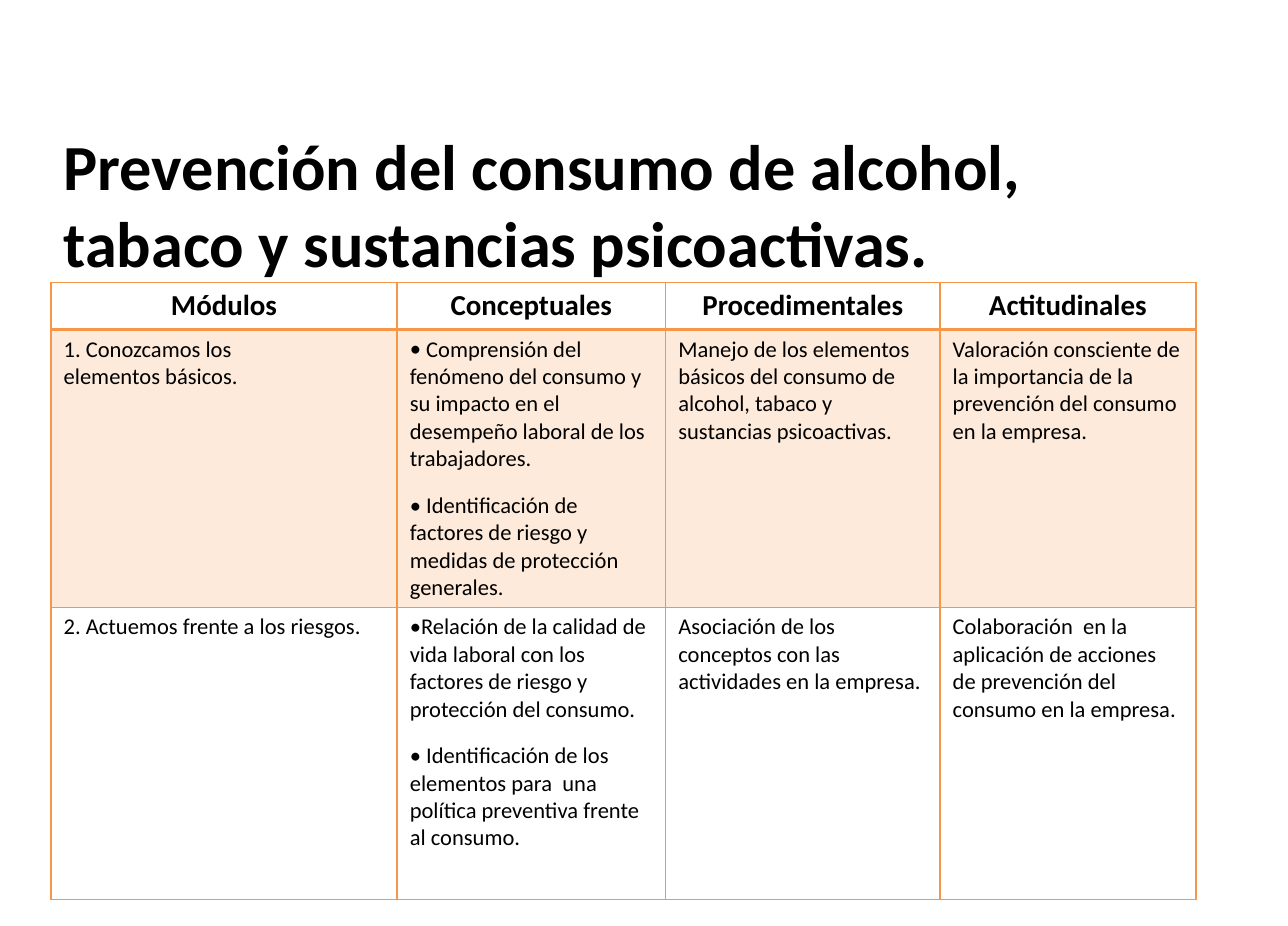
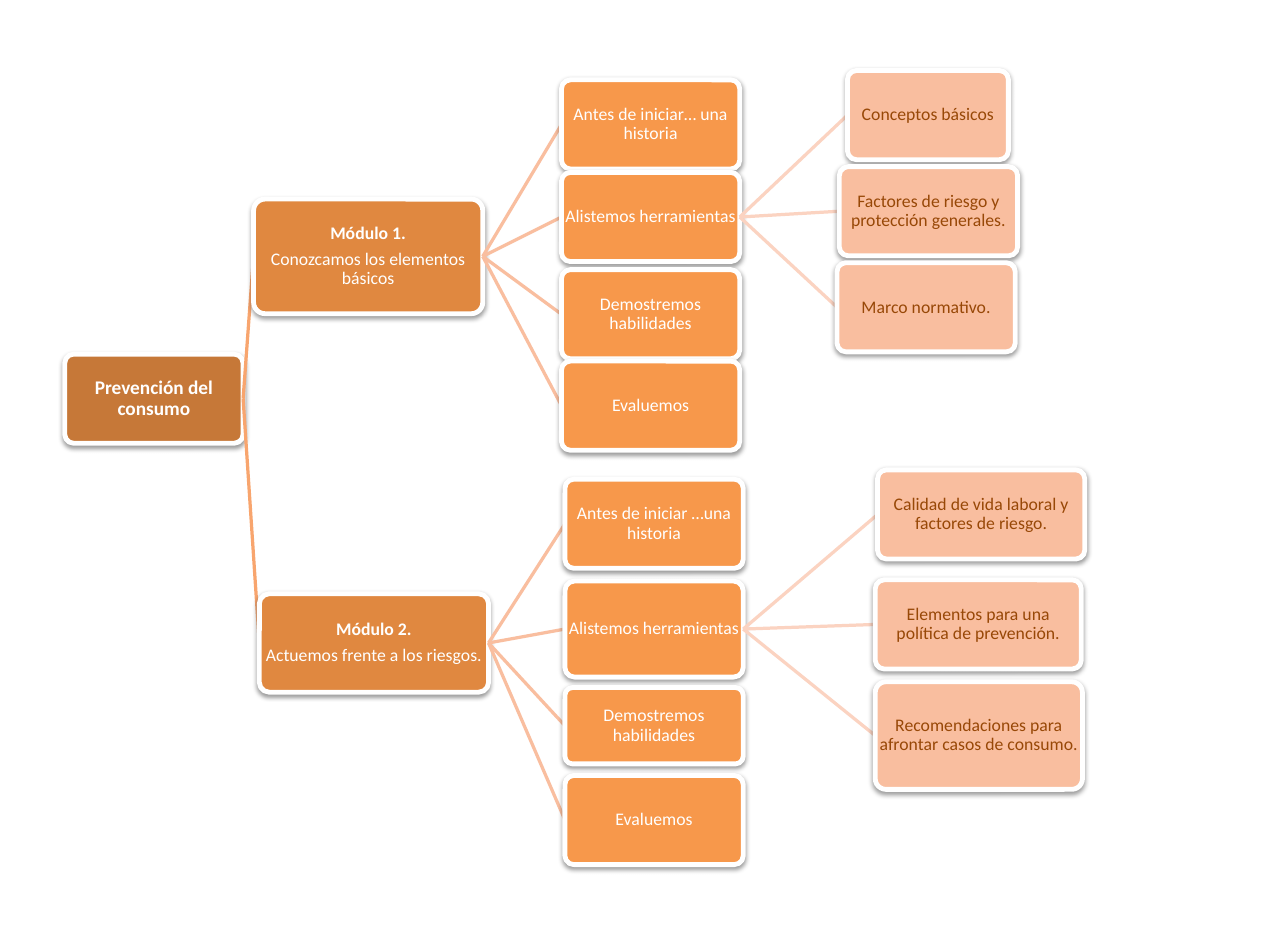
"""Two slides on preventing substance use: a contents table and a module tree."""
from lxml import etree
from pptx import Presentation
from pptx.dml.color import RGBColor
from pptx.enum.shapes import MSO_CONNECTOR, MSO_SHAPE
from pptx.enum.text import MSO_ANCHOR, PP_ALIGN
from pptx.oxml.ns import qn
from pptx.util import Inches, Pt

STRAIGHT, ROUND = MSO_CONNECTOR.STRAIGHT, MSO_SHAPE.ROUNDED_RECTANGLE
MIDDLE, CENTER, LEFT = MSO_ANCHOR.MIDDLE, PP_ALIGN.CENTER, PP_ALIGN.LEFT

WIDTH, HEIGHT = 89 / 8, 8
FONT = "Calibri"
BLACK, WHITE, BROWN, ORANGE, PEACH = "000000", "FFFFFF", "984807", "F79646", "FDEADA"

TITLE = "Prevención del consumo de alcohol, tabaco y sustancias psicoactivas."
COLS = [2.99, 2.32, 2.37, 2.21]
ROWS = [0.41, 2.4, 2.52]
HEADS = ["Módulos", "Conceptuales", "Procedimentales", "Actitudinales"]
BODY = [
    [["1. Conozcamos los", "elementos básicos."],
     [" Comprensión del fenómeno del consumo y su impacto en el desempeño laboral "
      "de los trabajadores.",
      " Identificación de factores de riesgo y medidas de protección generales."],
     ["Manejo de los elementos básicos del consumo de alcohol, tabaco y sustancias "
      "psicoactivas."],
     ["Valoración consciente de la importancia de la prevención del consumo en la "
      "empresa."]],
    [["2. Actuemos frente a los riesgos."],
     ["Relación de la calidad de vida laboral con los factores de riesgo y "
      "protección del consumo.",
      " Identificación de los elementos para  una política preventiva frente al "
      "consumo."],
     ["Asociación de los conceptos con las actividades en la empresa."],
     ["Colaboración  en la aplicación de acciones de prevención del consumo en la "
      "empresa. "]],
]
BULLET_COL = 1

LEVELS = [("C67838", WHITE, 12, None), ("E08840", WHITE, 11, "F8A56E"),
          ("F7984B", WHITE, 11, "F9BE9F"), ("F9BE9F", BROWN, 11, "FBD3C1")]
TREE = (["Prevención del consumo"], (0.56, 3.06, 1.54, 0.77), [
    (["Módulo 1.", "Conozcamos los elementos básicos"], (2.19, 1.72, 1.98, 0.99), [
        (["Antes de iniciar… una historia"], (4.85, 0.69, 1.54, 0.77), []),
        (["Alistemos herramientas"], (4.85, 1.49, 1.54, 0.77), [
            (["Conceptos básicos"], (7.32, 0.61, 1.39, 0.77), []),
            (["Factores de riesgo y protección generales."],
             (7.25, 1.44, 1.54, 0.77), []),
            (["Marco normativo."], (7.23, 2.27, 1.54, 0.77), [])]),
        (["Demostremos habilidades"], (4.85, 2.33, 1.54, 0.77), []),
        (["Evaluemos"], (4.85, 3.12, 1.54, 0.77), [])]),
    (["Módulo 2.", "Actuemos frente a los riesgos."], (2.24, 5.13, 1.98, 0.85), [
        (["Antes de iniciar …una historia"], (4.88, 4.14, 1.54, 0.77), []),
        (["Alistemos herramientas"], (4.88, 5.02, 1.54, 0.83), [
            (["Calidad de vida laboral y factores de riesgo."],
             (7.58, 4.06, 1.79, 0.77), []),
            (["Elementos para una política de prevención."],
             (7.56, 5.01, 1.78, 0.77), []),
            (["Recomendaciones para afrontar casos de consumo. "],
             (7.56, 5.89, 1.79, 0.93), [])]),
        (["Demostremos habilidades"], (4.88, 5.94, 1.54, 0.66), []),
        (["Evaluemos"], (4.88, 6.7, 1.54, 0.77), [])]),
])


def rgb(code):
    return RGBColor.from_string(code)


def node(parent, tag, **attrs):
    item = etree.SubElement(parent, qn(tag))
    for key, value in attrs.items():
        item.set(key, str(value))
    return item


def write(frame, lines, size, color, bold=False, align=LEFT):
    frame.word_wrap = True
    frame.text = "\n".join(lines)
    for para in frame.paragraphs:
        para.alignment = align
        font = para.font
        font.name, font.size, font.bold = FONT, Pt(size), bold
        font.color.rgb = rgb(color)
    return frame.paragraphs


def margins(item, side, top):
    item.margin_left = item.margin_right = Inches(side)
    item.margin_top = item.margin_bottom = Inches(top)


def borders(cell, widths):
    props = cell._tc.get_or_add_tcPr()
    for spot, (side, width) in enumerate(zip("LRTB", widths)):
        line = node(props, f"a:ln{side}", w=Pt(width))
        node(node(line, "a:solidFill"), "a:srgbClr", val=ORANGE)
        props.insert(spot, line)


def bullet(para):
    props = para._p.get_or_add_pPr()
    face = node(props, "a:buFont", typeface=FONT)
    mark = node(props, "a:buChar", char="•")
    props.find(qn("a:spcAft")).addnext(face)
    face.addnext(mark)


def add_title(slide):
    box = slide.shapes.add_textbox(Inches(0.44), Inches(1.09), Inches(10.01), Inches(1.33))
    frame = box.text_frame
    margins(frame, 0.11, 0.05)
    frame.vertical_anchor = MIDDLE
    write(frame, [TITLE], 40, BLACK, bold=True)


def add_grid(slide):
    rows = [[[head] for head in HEADS]] + BODY
    table = slide.shapes.add_table(len(ROWS), len(COLS), Inches(0.44), Inches(2.44),
                                   Inches(sum(COLS)), Inches(sum(ROWS))).table
    table.first_row = table.horz_banding = False
    for col, width in zip(table.columns, COLS):
        col.width = Inches(width)
    for row, height in zip(table.rows, ROWS):
        row.height = Inches(height)
    for r, row in enumerate(rows):
        for c, lines in enumerate(row):
            cell = table.cell(r, c)
            margins(cell, 0.11, 0.05)
            if r == 1:
                cell.fill.solid()
                cell.fill.fore_color.rgb = rgb(PEACH)
            else:
                cell.fill.background()
            borders(cell, (1, 1, 2 if r == 1 else 1, 2 if r == 0 else 1))
            if r == 0:
                write(cell.text_frame, lines, 18, BLACK, bold=True, align=CENTER)
                continue
            for para in write(cell.text_frame, lines, 14, BLACK):
                if c > 0:
                    para.space_before = para.space_after = Pt(6)
                if c == BULLET_COL:
                    bullet(para)


def add_link(slide, start, end, color):
    line = slide.shapes.add_connector(STRAIGHT, *map(Inches, start + end))
    line.line.color.rgb = rgb(color)
    line.line.width = Pt(2)
    node(line._element.spPr, "a:effectLst")


def add_box(slide, lines, place, level):
    fill, color, size, _ = LEVELS[level]
    box = slide.shapes.add_shape(ROUND, *map(Inches, place))
    box.adjustments[0] = 0.1
    box.fill.solid()
    box.fill.fore_color.rgb = rgb(fill)
    box.line.color.rgb = rgb(WHITE)
    box.line.width = Pt(3)
    box.shadow.inherit = False
    shade = node(box._element.spPr.find(qn("a:effectLst")), "a:outerShdw",
                 blurRad=Pt(3.1), dist=Pt(1.6), dir=5400000, rotWithShape=0)
    node(node(shade, "a:srgbClr", val=BLACK), "a:alpha", val=38000)
    frame = box.text_frame
    margins(frame, 0.01, 0.01)
    frame.vertical_anchor = MIDDLE
    paras = write(frame, lines, size, color, align=CENTER)
    for para in paras:
        para.line_spacing = 0.9
        para.space_after = Pt(4)
    paras[0].font.bold = level < 2


def add_tree(slide, branch, level=0, start=None):
    lines, place, kids = branch
    left, top, width, height = place
    mid = top + height / 2
    if start:
        add_link(slide, start, (left, mid), LEVELS[level][3])
    add_box(slide, lines, place, level)
    for kid in kids:
        add_tree(slide, kid, level + 1, (left + width, mid))


deck = Presentation()
deck.slide_width, deck.slide_height = Inches(WIDTH), Inches(HEIGHT)
blank = deck.slide_layouts[6]
plan = deck.slides.add_slide(blank)
add_grid(plan)
add_title(plan)
chart = deck.slides.add_slide(blank)
add_tree(chart, TREE)
deck.save("out.pptx")
